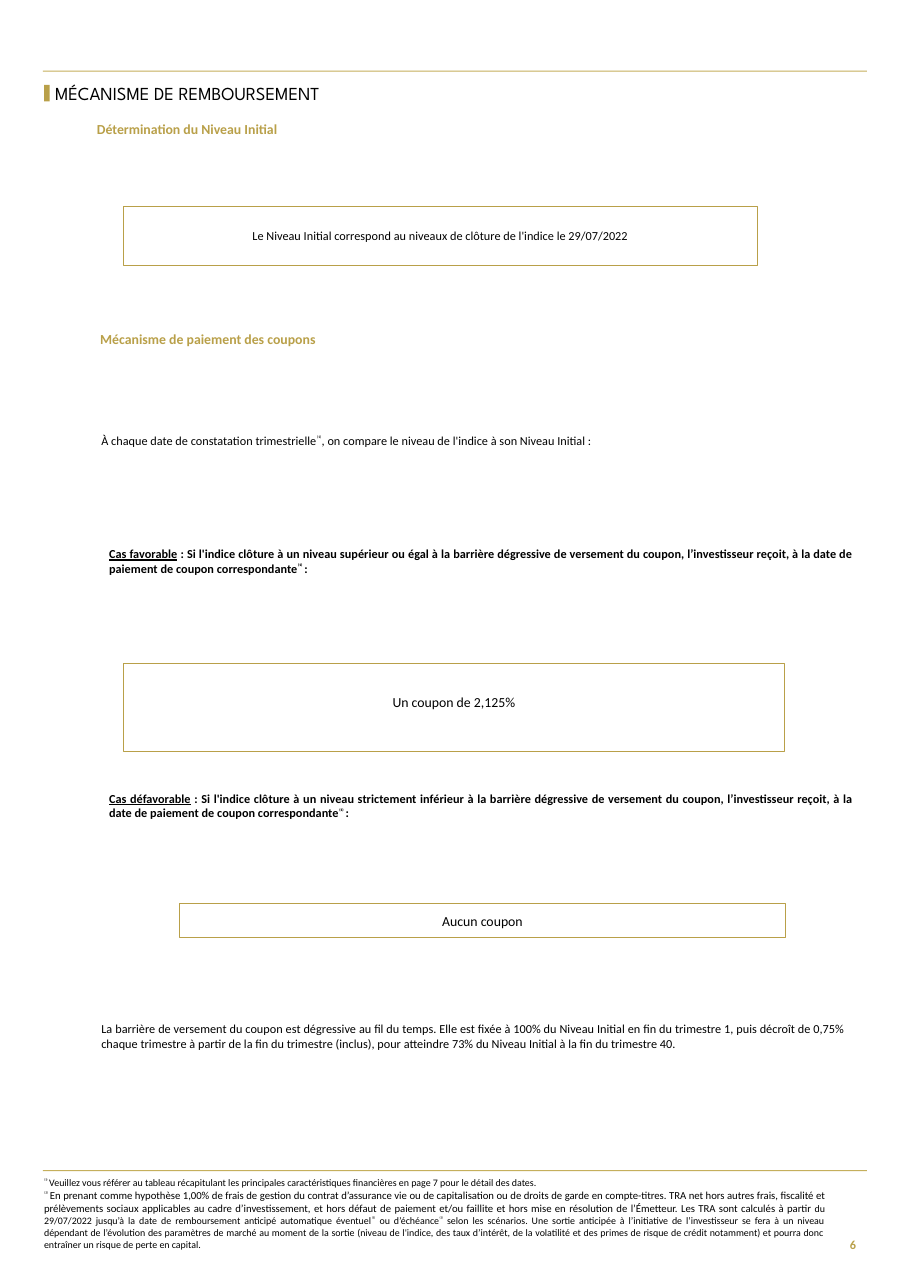
from pptx import Presentation
from pptx.dml.color import RGBColor
from pptx.enum.shapes import MSO_SHAPE as Shape
from pptx.enum.text import MSO_ANCHOR as Anchor, PP_ALIGN as Align
from pptx.util import Inches, Pt

COLORS = {"gold": "B9A049", "rule": "C5AF5C", "text": "000000", "white": "FFFFFF"}

TITLE = "MÉCANISME DE REMBOURSEMENT"
DATES = ("⁽¹⁾", {"sup": True})
FEES = ("⁽²⁾", {"sup": True})

# (left, top, width, height), text
HEADINGS = [
    ((0.88, 1.1, 2.97, 0.18), "Détermination du Niveau Initial"),
    ((0.91, 3, 6.57, 0.17), "Mécanisme de paiement des coupons"),
]

# (left, top, width, height), bold, runs
BODY = [
    ((0.92, 3.93, 6.57, 0.13), False, [
        "À chaque date de constatation trimestrielle", DATES,
        ", on compare le niveau de l'indice à son Niveau Initial :"]),
    ((0.99, 4.96, 6.76, 0.27), True, [
        ("Cas favorable", {"underline": True}),
        " : Si l'indice clôture à un niveau supérieur ou égal à la barrière dégressive de "
        "versement du coupon, l’investisseur reçoit, à la date de paiement de coupon "
        "correspondante", DATES, (" ", {"sup": True}), ":"]),
    ((0.99, 7.18, 6.76, 0.27), True, [
        ("Cas défavorable", {"underline": True}),
        " : Si l'indice clôture à un niveau strictement inférieur à la barrière dégressive de "
        "versement du coupon, l’investisseur reçoit, à la date de paiement de coupon "
        "correspondante", DATES, (" ", {"sup": True}), ":"]),
    ((0.92, 9.27, 6.76, 0.27), False, [
        "La barrière de versement du coupon est dégressive au fil du temps. Elle est fixée à "
        "100% du Niveau Initial en fin du trimestre 1, puis décroît de 0,75% chaque trimestre "
        "à partir de la fin du trimestre (inclus), pour atteindre 73% du Niveau Initial à la "
        "fin du trimestre 40."]),
]

# (left, top, width, height), text, size, fill, line width, (top, bottom) insets
OUTCOMES = [
    ((1.12, 1.87, 5.76, 0.54),
     "Le Niveau Initial correspond au niveaux de clôture de l'indice le 29/07/2022",
     8, None, 0.5, (0.2, 0.2)),
    ((1.12, 6.02, 6, 0.8), "Un coupon de 2,125%", 9, "white", 0.75, (0.08, 0.17)),
    ((1.63, 8.2, 5.5, 0.31), "Aucun coupon", 9, "white", 0.75, (0.08, 0.08)),
]

FOOTNOTES = [
    [DATES, (" ", {"sup": True}),
     "Veuillez vous référer au tableau récapitulant les principales caractéristiques "
     "financières en page 7 pour le détail des dates."],
    [FEES, (" ", {"sup": True}),
     ("En prenant comme hypothèse 1,00% de frais de gestion du contrat d’assurance vie ou de "
      "capitalisation ou de droits de garde en compte-titres. TRA net hors autres frais, "
      "fiscalité et prélèvements sociaux applicables au cadre d’investissement, et hors défaut "
      "de paiement et/ou faillite et hors mise en résolution de l’Émetteur. Les TRA sont "
      "calculés à partir ", {"size": 7}),
     "du 29/07/2022 jusqu’à la date de remboursement anticipé automatique éventuel", DATES,
     " ou d’échéance", DATES,
     " selon les scénarios. Une sortie anticipée à l’initiative de l’investisseur se fera à un "
     "niveau dépendant de l’évolution des paramètres de marché au moment de la sortie (niveau "
     "de l'indice, des taux d’intérêt, de la volatilité et des primes de risque de crédit "
     "notamment) et pourra donc entraîner un risque de perte en capital."],
]


def rgb(name):
    return RGBColor.from_string(COLORS[name])


def place(box):
    return [Inches(length) for length in box]


def format_run(run, size=8, color="text", bold=False, underline=False, sup=False,
               font="Calibri"):
    run.font.size = Pt(size)
    run.font.name = font
    run.font.bold = bold
    run.font.underline = underline
    run.font.color.rgb = rgb(color)
    if sup:
        run._r.get_or_add_rPr().set("baseline", "30000")


def write(shape, paragraphs, align=Align.LEFT, anchor=Anchor.TOP, insets=(0, 0, 0, 0),
          spacing=1.0, **style):
    """Fill a shape with paragraphs: each a string, or a list of strings and (text, style) runs."""
    frame = shape.text_frame
    frame.word_wrap = True
    frame.vertical_anchor = anchor
    (frame.margin_left, frame.margin_top,
     frame.margin_right, frame.margin_bottom) = place(insets)
    for index, runs in enumerate(paragraphs):
        paragraph = frame.add_paragraph() if index else frame.paragraphs[0]
        paragraph.alignment = align
        paragraph.line_spacing = spacing
        paragraph.space_before = Pt(0)
        for part in [runs] if isinstance(runs, str) else runs:
            text, own_style = (part, {}) if isinstance(part, str) else part
            run = paragraph.add_run()
            run.text = text
            format_run(run, **{**style, **own_style})


def add_rectangle(slide, box, fill=None, line=None, line_width=0.75):
    rectangle = slide.shapes.add_shape(Shape.RECTANGLE, *place(box))
    rectangle.shadow.inherit = False
    if fill:
        rectangle.fill.solid()
        rectangle.fill.fore_color.rgb = rgb(fill)
    else:
        rectangle.fill.background()
    if line:
        rectangle.line.color.rgb = rgb(line)
        rectangle.line.width = Pt(line_width)
    else:
        rectangle.line.fill.background()
    return rectangle


def add_text(slide, box, paragraphs, **style):
    write(slide.shapes.add_textbox(*place(box)), paragraphs, **style)


def main():
    deck = Presentation()
    deck.slide_width, deck.slide_height = Inches(8.27), Inches(11.69)
    slide = deck.slides.add_slide(deck.slide_layouts[5])

    for top in (0.64, 10.62):
        add_rectangle(slide, (0.39, top, 7.48, 0.01), fill="rule")

    title = slide.shapes.title
    title.left, title.top, title.width, title.height = place((0.5, 0.73, 4.21, 0.25))
    write(title, [TITLE], anchor=Anchor.MIDDLE, spacing=0.9, size=12, font="League Spartan")
    add_rectangle(slide, (0.4, 0.77, 0.05, 0.15), fill="gold")

    for box, heading in HEADINGS:
        add_text(slide, box, [heading], size=9, color="gold", bold=True)
    for box, bold, runs in BODY:
        add_text(slide, box, [runs], align=Align.JUSTIFY, bold=bold)
    for box, outcome, size, fill, line_width, (top, bottom) in OUTCOMES:
        frame = add_rectangle(slide, box, fill, "gold", line_width)
        write(frame, [outcome], align=Align.CENTER, anchor=Anchor.MIDDLE,
              insets=(0.12, top, 0.12, bottom), size=size)

    add_text(slide, (0.4, 10.68, 7.09, 0.68), FOOTNOTES, align=Align.JUSTIFY, size=6.5)
    add_text(slide, (7.48, 11.09, 0.39, 0.42), ["6"], align=Align.RIGHT, anchor=Anchor.MIDDLE,
             insets=(0.1, 0.05, 0.1, 0.05), color="gold", bold=True)
    deck.save("out.pptx")


if __name__ == "__main__":
    main()
